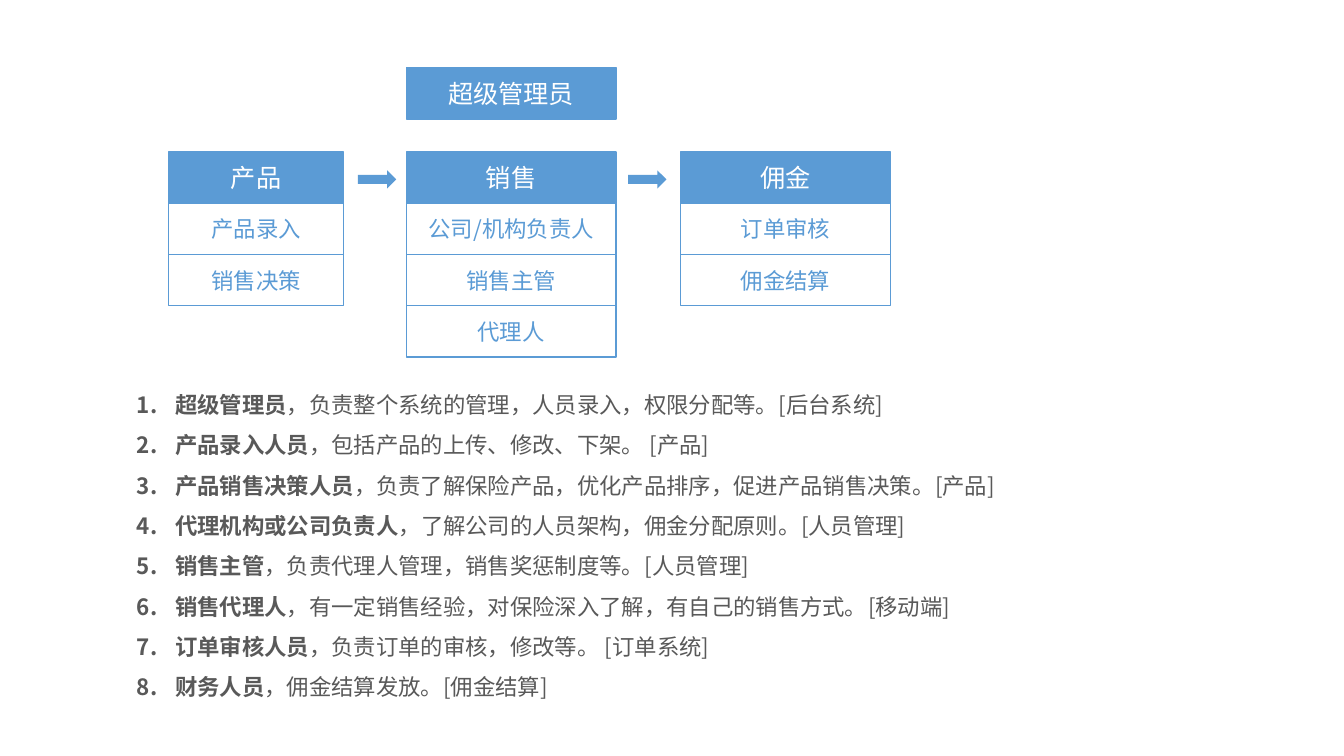
import pptx
import pptx.util
import pptx.dml.color
import pptx.enum.shapes
import pptx.enum.text
import pptx.oxml.ns
import lxml.etree

Inches, Pt = pptx.util.Inches, pptx.util.Pt
SHAPES = pptx.enum.shapes.MSO_SHAPE
FONT = "Noto Sans CJK JP"
COLORS = {"blue": "5B9BD5", "white": "FFFFFF", "grey": "595959"}

ADMINISTRATOR = "超级管理员"
# left, width, heading, roles
COLUMNS = [
    (1.67, 1.74, "产品", ["产品录入", "销售决策"]),
    (4.03, 2.08, "销售", ["公司/机构负责人", "销售主管", "代理人"]),
    (6.75, 2.08, "佣金", ["订单审核", "佣金结算"]),
]
ARROW_LEFTS = [3.55, 6.23]
DUTIES = [
    ("超级管理员", "，负责整个系统的管理，人员录入，权限分配等。[后台系统]"),
    ("产品录入人员", "，包括产品的上传、修改、下架。 [产品]"),
    ("产品销售决策人员", "，负责了解保险产品，优化产品排序，促进产品销售决策。[产品]"),
    ("代理机构或公司负责人", "，了解公司的人员架构，佣金分配原则。[人员管理]"),
    ("销售主管", "，负责代理人管理，销售奖惩制度等。[人员管理]"),
    ("销售代理人", "，有一定销售经验，对保险深入了解，有自己的销售方式。[移动端]"),
    ("订单审核人员", "，负责订单的审核，修改等。 [订单系统]"),
    ("财务人员", "，佣金结算发放。[佣金结算]"),
]
ADMINISTRATOR_TOP, COLUMN_TOP = 0.67, 1.51
BOX_HEIGHT, ROW_STEP = 0.51, 0.507
INDENT = Inches(0.38)


def color(name):
    return pptx.dml.color.RGBColor.from_string(COLORS[name])


def add_run(paragraph, text, size, color_name, bold=False):
    run = paragraph.add_run()
    run.text = text
    run.font.name = FONT
    run.font.size = Pt(size)
    run.font.bold = bold
    run.font.color.rgb = color(color_name)
    east_asian = lxml.etree.SubElement(run.font._element, pptx.oxml.ns.qn("a:ea"))
    east_asian.set("typeface", FONT)


def add_box(slide, left, top, width, text, heading=False):
    box = slide.shapes.add_shape(
        SHAPES.RECTANGLE, Inches(left), Inches(top), Inches(width), Inches(BOX_HEIGHT))
    box.shadow.inherit = False
    if heading:
        box.fill.solid()
        box.fill.fore_color.rgb = color("blue")
    else:
        box.fill.background()
    box.line.color.rgb = color("blue")
    box.line.width = Pt(1)
    frame = box.text_frame
    frame.word_wrap = True
    frame.vertical_anchor = pptx.enum.text.MSO_ANCHOR.MIDDLE
    paragraph = frame.paragraphs[0]
    paragraph.alignment = pptx.enum.text.PP_ALIGN.CENTER
    add_run(paragraph, text, 18 if heading else 16, "white" if heading else "blue")


def add_arrow(slide, left):
    arrow = slide.shapes.add_shape(
        SHAPES.RIGHT_ARROW, Inches(left), Inches(1.69), Inches(0.38), Inches(0.18))
    arrow.shadow.inherit = False
    arrow.fill.solid()
    arrow.fill.fore_color.rgb = color("blue")
    arrow.line.fill.background()


def number_paragraph(paragraph):
    properties = paragraph._p.get_or_add_pPr()
    properties.set("marL", str(INDENT))
    properties.set("indent", str(-INDENT))
    bullet_font = lxml.etree.SubElement(properties, pptx.oxml.ns.qn("a:buFont"))
    bullet_font.set("typeface", "+mj-lt")
    numbering = lxml.etree.SubElement(properties, pptx.oxml.ns.qn("a:buAutoNum"))
    numbering.set("type", "arabicPeriod")


def add_duties(slide):
    box = slide.shapes.add_textbox(Inches(1.26), Inches(3.7), Inches(9.6), Inches(3.33))
    frame = box.text_frame
    frame.word_wrap = True
    frame.auto_size = pptx.enum.text.MSO_AUTO_SIZE.SHAPE_TO_FIT_TEXT
    for index, (role, duty) in enumerate(DUTIES):
        paragraph = frame.add_paragraph() if index else frame.paragraphs[0]
        paragraph.line_spacing = 1.5
        number_paragraph(paragraph)
        add_run(paragraph, role, 16, "grey", bold=True)
        add_run(paragraph, duty, 16, "grey")


def main():
    presentation = pptx.Presentation()
    presentation.slide_width = Inches(13.33)
    presentation.slide_height = Inches(7.5)
    slide = presentation.slides.add_slide(presentation.slide_layouts[6])

    sales_left, sales_width = COLUMNS[1][:2]
    add_box(slide, sales_left, ADMINISTRATOR_TOP, sales_width, ADMINISTRATOR, heading=True)
    for left, width, heading, roles in COLUMNS:
        for row, text in enumerate([heading, *roles]):
            add_box(slide, left, COLUMN_TOP + row * ROW_STEP, width, text, heading=row == 0)
    for left in ARROW_LEFTS:
        add_arrow(slide, left)
    add_duties(slide)
    presentation.save("out.pptx")


if __name__ == "__main__":
    main()
